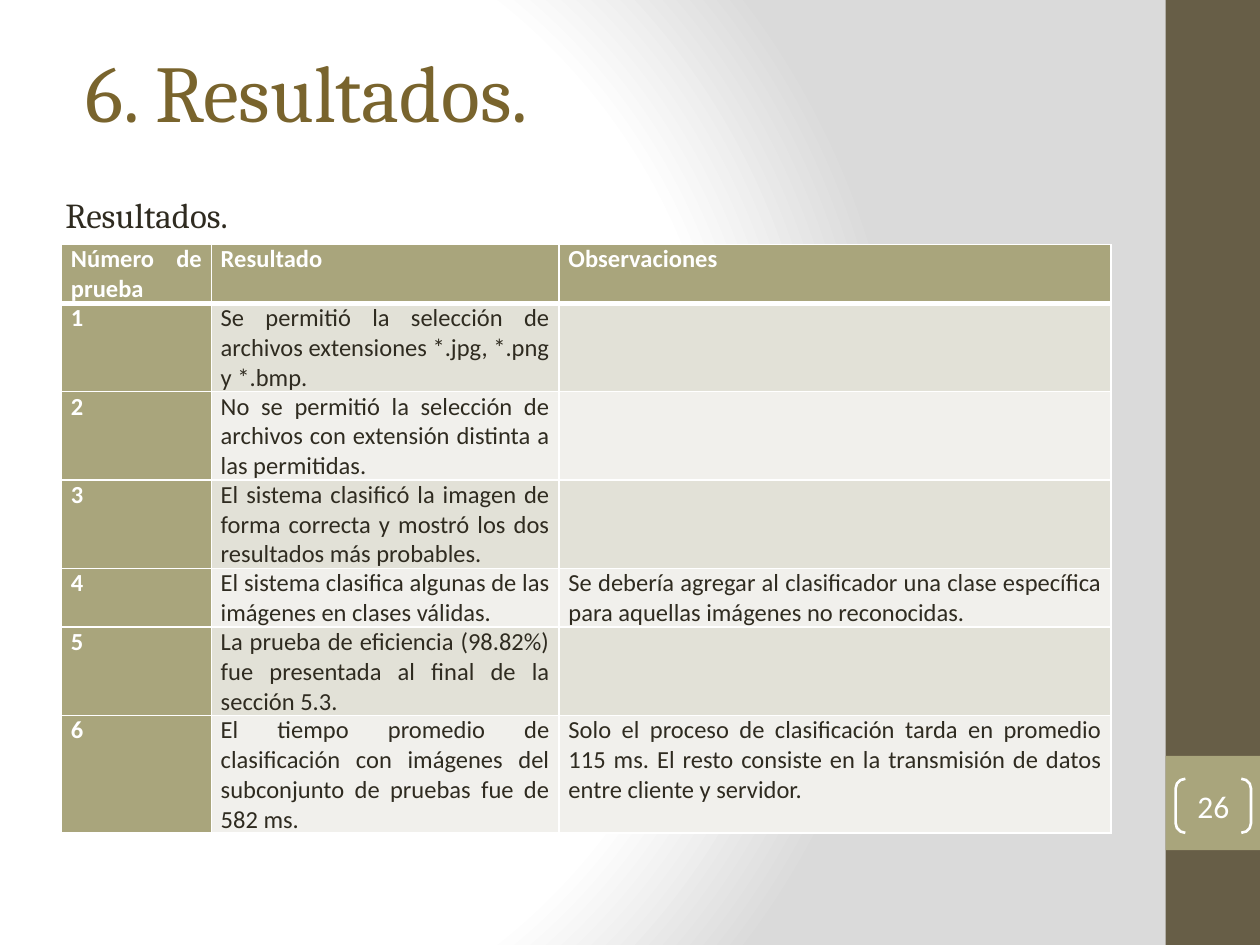
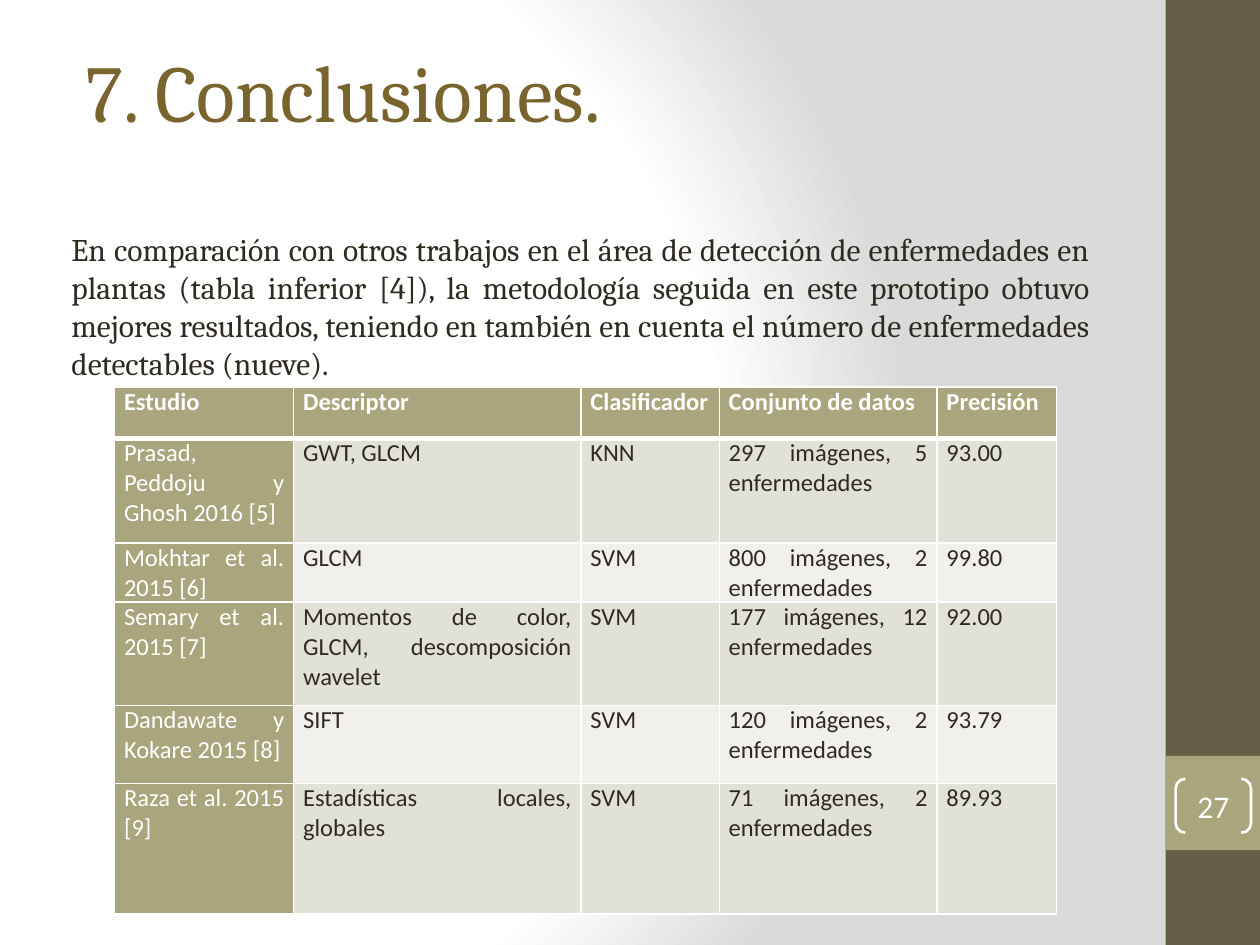
"""Build the results and conclusions slides, each with a title, a lead text and a table."""
from dataclasses import dataclass
from typing import Any

from lxml import etree
from pptx import Presentation
from pptx import util as u
from pptx.dml.color import RGBColor
from pptx.enum import shapes, text
from pptx.oxml import parse_xml
from pptx.oxml.ns import nsdecls, qn

WHITE, INK, GOLD = "FFFFFF", "2F2B20", "79642D"
BROWN, OLIVE, SHADE = "675E47", "A9A57C", "DADADA"
STRIPES = ("E2E1D7", "F1F0EC")
HEAD_FONT, BODY_FONT = "Cambria", "Calibri"
JUSTIFY, CENTER = text.PP_ALIGN.JUSTIFY, text.PP_ALIGN.CENTER
BAND_LEFT, BAND_WIDTH = 23.5, 1.9
LINE_HEIGHT = 0.59


@dataclass
class Box:
    left: float
    top: float
    width: float
    height: float

    def lengths(self) -> tuple[u.Length, ...]:
        return tuple(u.Cm(v) for v in (self.left, self.top, self.width, self.height))


@dataclass
class Grid:
    left: float
    top: float
    cols: list[float]
    rows: list[float]
    cells: list[list[str]]
    bold_first: bool


@dataclass
class Page:
    number: int
    title: str
    lead: str
    lead_box: Box
    lead_size: int
    grid: Grid


def rgb(value: str) -> RGBColor:
    return RGBColor.from_string(value)


def write(tf: Any, content: str, *, size: float, color: str, font: str = BODY_FONT,
          bold: bool = False, align: Any = JUSTIFY) -> Any:
    tf.word_wrap = True
    p = tf.paragraphs[0]
    p.alignment = align
    r = p.add_run()
    r.text = content
    r.font.size, r.font.name, r.font.bold = u.Pt(size), font, bold
    r.font.color.rgb = rgb(color)
    return p


def add_shape(s: Any, kind: Any, box: Box, fill: str | None = None,
              line: str | None = None) -> Any:
    sp = s.shapes.add_shape(kind, *box.lengths())
    sp.shadow.inherit = False
    if fill:
        sp.fill.solid()
        sp.fill.fore_color.rgb = rgb(fill)
    else:
        sp.fill.background()
    if line:
        sp.line.color.rgb = rgb(line)
        sp.line.width = u.Pt(1.5)
    else:
        sp.line.fill.background()
    return sp


def set_background(prs: Any) -> None:
    fill = prs.slide_master.background.fill
    fill.solid()
    fill.fore_color.rgb = rgb(WHITE)
    stops = "".join(f'<a:gs pos="{pos}"><a:srgbClr val="{color}"/></a:gs>'
                    for pos, color in ((0, WHITE), (75000, WHITE), (100000, SHADE)))
    gradient = parse_xml(
        f'<a:gradFill {nsdecls("a")} rotWithShape="1"><a:gsLst>{stops}</a:gsLst>'
        '<a:path path="circle"><a:fillToRect l="20000" t="50000" r="100000" b="50000"/>'
        '</a:path></a:gradFill>')
    solid = next(prs.slide_master.element.iter(qn("a:solidFill")))
    solid.getparent().replace(solid, gradient)


def add_band(s: Any, number: int) -> None:
    rect = shapes.MSO_SHAPE.RECTANGLE
    add_shape(s, rect, Box(BAND_LEFT, 0, BAND_WIDTH, 19.05), BROWN)
    add_shape(s, rect, Box(BAND_LEFT, 15.24, BAND_WIDTH, BAND_WIDTH), OLIVE)
    sp = add_shape(s, shapes.MSO_SHAPE.DOUBLE_BRACKET, Box(23.7, 15.7, 1.52, 1.09), line=WHITE)
    sp.adjustments[0] = 0.18
    tf = sp.text_frame
    tf.margin_left = tf.margin_right = tf.margin_top = tf.margin_bottom = 0
    tf.vertical_anchor = text.MSO_ANCHOR.MIDDLE
    write(tf, str(number), size=18, color=WHITE, align=CENTER)


def set_title(s: Any, content: str) -> None:
    sp = s.shapes.title
    sp.left, sp.top, sp.width, sp.height = Box(1.32, -0.25, 21.01, 3.18).lengths()
    tf = sp.text_frame
    tf.auto_size = text.MSO_AUTO_SIZE.NONE
    tf.vertical_anchor = text.MSO_ANCHOR.BOTTOM
    p = write(tf, content, size=46, color=GOLD, font=HEAD_FONT)
    p._p.get_or_add_pPr().set("marL", str(u.Cm(0.15)))


def set_borders(cell: Any, top: float, bottom: float) -> None:
    tc_pr = cell._tc.get_or_add_tcPr()
    sides = (("L", 1), ("R", 1), ("T", top), ("B", bottom))
    for i, (side, width) in enumerate(sides):
        ln = etree.Element(qn(f"a:ln{side}"), w=str(u.Pt(width)))
        solid = etree.SubElement(ln, qn("a:solidFill"))
        etree.SubElement(solid, qn("a:srgbClr"), val=WHITE)
        tc_pr.insert(i, ln)


def add_grid(s: Any, grid: Grid) -> None:
    box = Box(grid.left, grid.top, sum(grid.cols), sum(grid.rows))
    table = s.shapes.add_table(len(grid.rows), len(grid.cols), *box.lengths()).table
    for column, width in zip(table.columns, grid.cols):
        column.width = u.Cm(width)
    for i, (row, height) in enumerate(zip(table.rows, grid.rows)):
        row.height = u.Cm(height)
        for j, (cell, content) in enumerate(zip(row.cells, grid.cells[i])):
            accent = i == 0 or j == 0
            cell.margin_left = cell.margin_right = u.Cm(0.19)
            cell.margin_top = cell.margin_bottom = 0
            cell.fill.solid()
            cell.fill.fore_color.rgb = rgb(OLIVE if accent else STRIPES[(i - 1) % 2])
            set_borders(cell, top=3 if i == 1 else 1, bottom=3 if i == 0 else 1)
            if content:
                write(cell.text_frame, content, size=14, color=WHITE if accent else INK,
                      bold=i == 0 or (j == 0 and grid.bold_first))


def add_page(prs: Any, page: Page) -> None:
    s = prs.slides.add_slide(prs.slide_layouts[5])
    add_band(s, page.number)
    set_title(s, page.title)
    tf = s.shapes.add_textbox(*page.lead_box.lengths()).text_frame
    write(tf, page.lead, size=page.lead_size, color=INK, font=HEAD_FONT)
    add_grid(s, page.grid)


RESULTS = Grid(
    1.24, 4.93, [3.02, 7.01, 11.13], [n * LINE_HEIGHT for n in (2, 3, 3, 3, 2, 3, 4)],
    [["Número de prueba", "Resultado", "Observaciones"],
     ["1", "Se permitió la selección de archivos extensiones *.jpg, *.png y *.bmp.", ""],
     ["2", "No se permitió la selección de archivos con extensión distinta a las permitidas.", ""],
     ["3", "El sistema clasificó la imagen de forma correcta y mostró los dos resultados "
           "más probables.", ""],
     ["4", "El sistema clasifica algunas de las imágenes en clases válidas.",
      "Se debería agregar al clasificador una clase específica para aquellas imágenes "
      "no reconocidas."],
     ["5", "La prueba de eficiencia (98.82%) fue presentada al final de la sección 5.3.", ""],
     ["6", "El tiempo promedio de clasificación con imágenes del subconjunto de pruebas "
           "fue de 582 ms.",
      "Solo el proceso de clasificación tarda en promedio 115 ms. El resto consiste en la "
      "transmisión de datos entre cliente y servidor."]],
    bold_first=True)

STUDIES = Grid(
    2.31, 7.8, [3.61, 5.79, 2.79, 4.39, 2.41], [1.04, 2.11, 1.19, 2.08, 1.57, 2.64],
    [["Estudio", "Descriptor", "Clasificador", "Conjunto de datos", "Precisión"],
     ["Prasad, Peddoju y Ghosh 2016 [5]", "GWT, GLCM", "KNN",
      "297 imágenes, 5 enfermedades", "93.00"],
     ["Mokhtar et al. 2015 [6]", "GLCM", "SVM", "800 imágenes, 2 enfermedades", "99.80"],
     ["Semary et al. 2015 [7]", "Momentos de color, GLCM, descomposición wavelet", "SVM",
      "177 imágenes, 12 enfermedades", "92.00"],
     ["Dandawate y Kokare 2015 [8]", "SIFT", "SVM", "120 imágenes, 2 enfermedades", "93.79"],
     ["Raza et al. 2015 [9]", "Estadísticas locales, globales", "SVM",
      "71 imágenes, 2 enfermedades", "89.93"]],
    bold_first=False)

PAGES = [
    Page(26, "6. Resultados.", "Resultados.", Box(1.07, 3.78, 21.03, 1.12), 20, RESULTS),
    Page(27, "7. Conclusiones.",
         "En comparación con otros trabajos en el área de detección de enfermedades en plantas "
         "(tabla inferior [4]), la metodología seguida en este prototipo obtuvo mejores "
         "resultados, teniendo en también en cuenta el número de enfermedades detectables "
         "(nueve).", Box(1.19, 4.52, 21.03, 3.33), 18, STUDIES),
]


def main() -> None:
    prs = Presentation()
    prs.slide_width, prs.slide_height = u.Cm(25.4), u.Cm(19.05)
    set_background(prs)
    for page in PAGES:
        add_page(prs, page)
    prs.save("out.pptx")


main()
